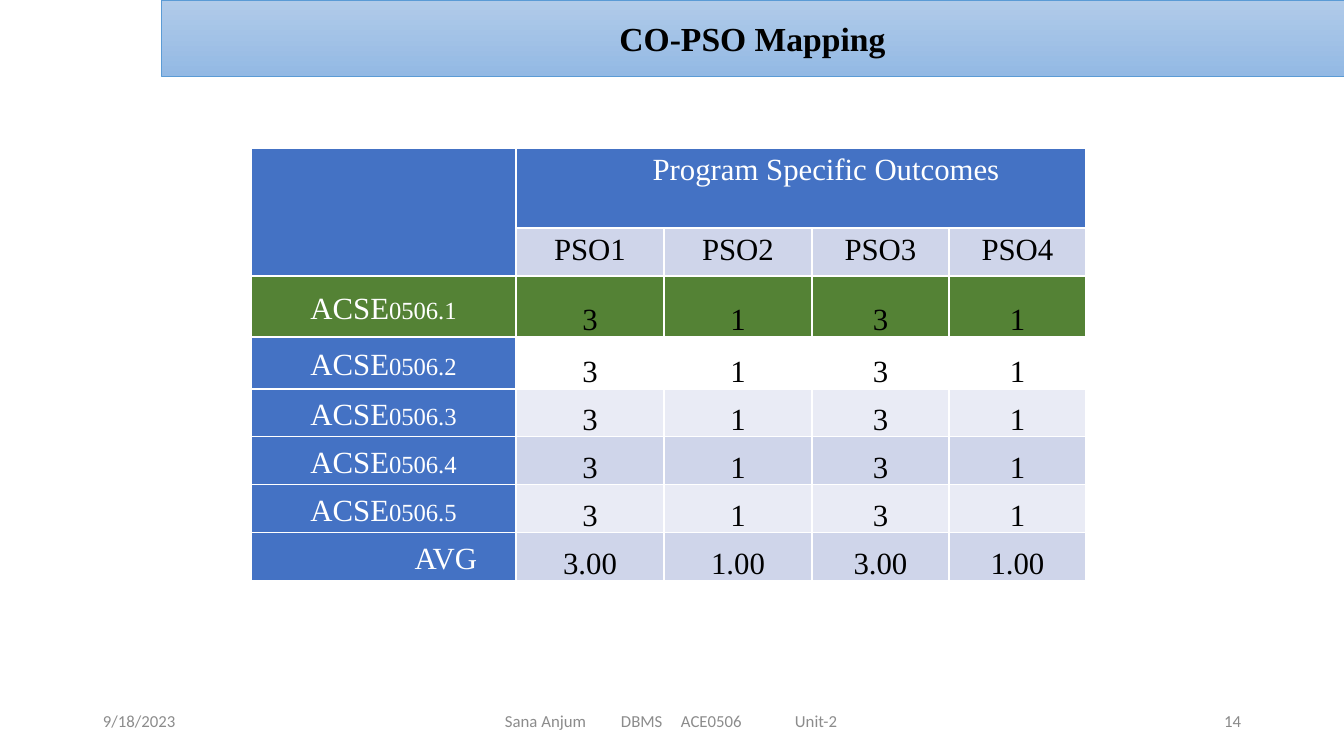
"""Build the CO-PSO mapping slide."""
from lxml.etree import SubElement
from pptx import Presentation
from pptx.dml.color import RGBColor
from pptx.enum.shapes import MSO_SHAPE
from pptx.enum.text import MSO_ANCHOR, PP_ALIGN
from pptx.oxml.ns import qn
from pptx.util import Emu, Pt


def px(n):
    return Emu(round(n * 914400 / 100.8))


def add_run(p, text, size, color, font="Times New Roman", bold=False):
    r = p.add_run()
    r.text = text
    r.font.size, r.font.name, r.font.bold = Pt(size), font, bold
    r.font.color.rgb = RGBColor.from_string(color)
    return r


prs = Presentation()
prs.slide_width, prs.slide_height = px(1344), px(756)
s = prs.slides.add_slide(prs.slide_layouts[6])

footers = [
    (93, 302, 10, "9/18/2023", "8C8C8C", PP_ALIGN.LEFT),
    (445, 454, 60, "Sana Anjum\tDBMS\tACE0506\tUnit-2", "8C8C8C", PP_ALIGN.LEFT),
    (949, 302, 10, "14", "898989", PP_ALIGN.RIGHT),
]
for left, width, inset, text, color, align in footers:
    tf = s.shapes.add_textbox(px(left), px(701), px(width), px(40)).text_frame
    tf.word_wrap = True
    tf.vertical_anchor = MSO_ANCHOR.MIDDLE
    tf.margin_left = px(inset)
    p = tf.paragraphs[0]
    p.alignment = align
    if "\t" in text:
        tabs = SubElement(p._p.get_or_add_pPr(), qn("a:tabLst"))
        for pos in (116, 176, 290):
            SubElement(tabs, qn("a:tab"), pos=str(px(pos)), algn="l")
    add_run(p, text, 12, color, "Calibri")

banner = s.shapes.add_shape(MSO_SHAPE.RECTANGLE, px(161), 0, px(1183), px(76))
banner.shadow.inherit = False
banner.fill.gradient()
banner.fill.gradient_angle = 270
for stop, color in zip(banner.fill.gradient_stops, ("B1CBE9", "93B9E4")):
    stop.color.rgb = RGBColor.from_string(color)
    stop.position = 0 if color == "B1CBE9" else 1
banner.line.color.rgb = RGBColor.from_string("5B9BD5")
banner.line.width = Pt(0.5)
banner.text_frame.vertical_anchor = MSO_ANCHOR.MIDDLE
p = banner.text_frame.paragraphs[0]
p.alignment = PP_ALIGN.CENTER
add_run(p, "CO-PSO Mapping", 24, "000000", bold=True)

BLUE, GREEN, DARK_BAND, LIGHT_BAND = "4472C4", "548235", "CFD5EA", "E9EBF5"
scores = ["3", "1", "3", "1"]
rows = [
    (80, BLUE, BLUE, ["", "Program Specific Outcomes", "", "", ""]),
    (48, BLUE, DARK_BAND, ["", "PSO1", "PSO2", "PSO3", "PSO4"]),
    (61, GREEN, GREEN, ["ACSE0506.1"] + scores),
    (52, BLUE, None, ["ACSE0506.2"] + scores),
    (48, BLUE, LIGHT_BAND, ["ACSE0506.3"] + scores),
    (48, BLUE, DARK_BAND, ["ACSE0506.4"] + scores),
    (48, BLUE, LIGHT_BAND, ["ACSE0506.5"] + scores),
    (48, BLUE, DARK_BAND, ["AVG", "3.00", "1.00", "3.00", "1.00"]),
]
col_widths = [265, 148, 148, 137, 137]
table = s.shapes.add_table(len(rows), len(col_widths), px(251), px(148),
                           px(sum(col_widths)), px(433)).table
table.first_row = table.horz_banding = False
for col, width in zip(table.columns, col_widths):
    col.width = px(width)

for i, (height, label_fill, score_fill, texts) in enumerate(rows):
    table.rows[i].height = px(height)
    for j, text in enumerate(texts):
        cell = table.cell(i, j)
        cell.margin_left = cell.margin_right = px(7)
        cell.margin_top = cell.margin_bottom = 0
        tcPr = cell._tc.get_or_add_tcPr()
        for side in ("lnL", "lnR", "lnT", "lnB"):
            ln = SubElement(tcPr, qn("a:" + side), w=str(Pt(1)))
            SubElement(SubElement(ln, qn("a:solidFill")), qn("a:srgbClr"), val="FFFFFF")
        fill = score_fill if j else label_fill
        if fill:
            cell.fill.solid()
            cell.fill.fore_color.rgb = RGBColor.from_string(fill)
        else:
            cell.fill.background()
        if not text:
            continue
        p = cell.text_frame.paragraphs[0]
        p.alignment = PP_ALIGN.CENTER
        p.line_spacing = 1.15
        if i > 1:
            cell.vertical_anchor = MSO_ANCHOR.BOTTOM if j else MSO_ANCHOR.MIDDLE
        if j and i != 1:
            p.space_after = Pt(10)
        if i == 0 or text == "AVG":
            p._p.get_or_add_pPr().set("marL", str(px(50 if i == 0 else 62)))
        r = add_run(p, text, 22, "000000" if i and j else "FFFFFF")
        if j == 0:
            r.font._element.set("cap", "small")

table.cell(0, 0).merge(table.cell(1, 0))
table.cell(0, 1).merge(table.cell(0, 4))

prs.save("out.pptx")
